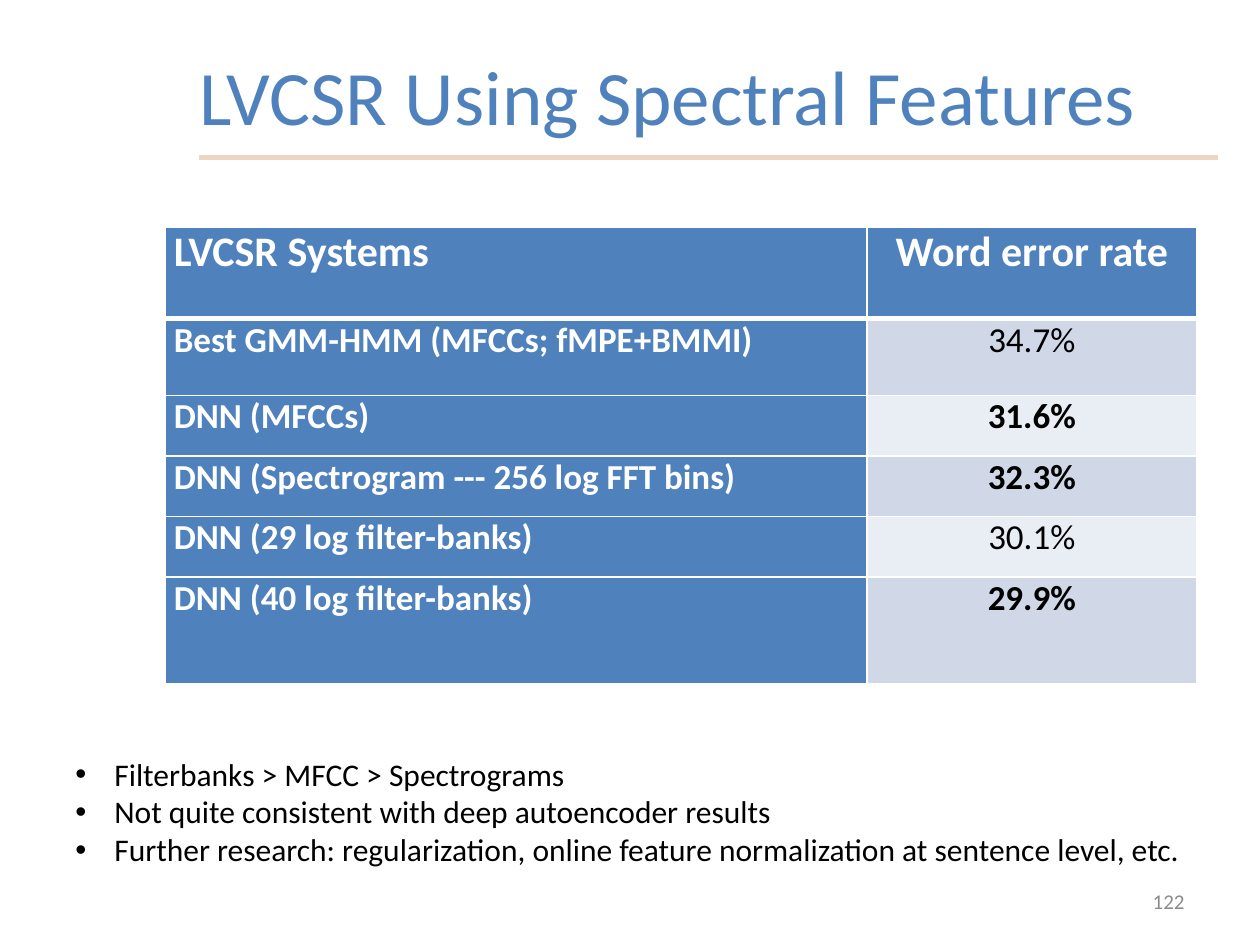
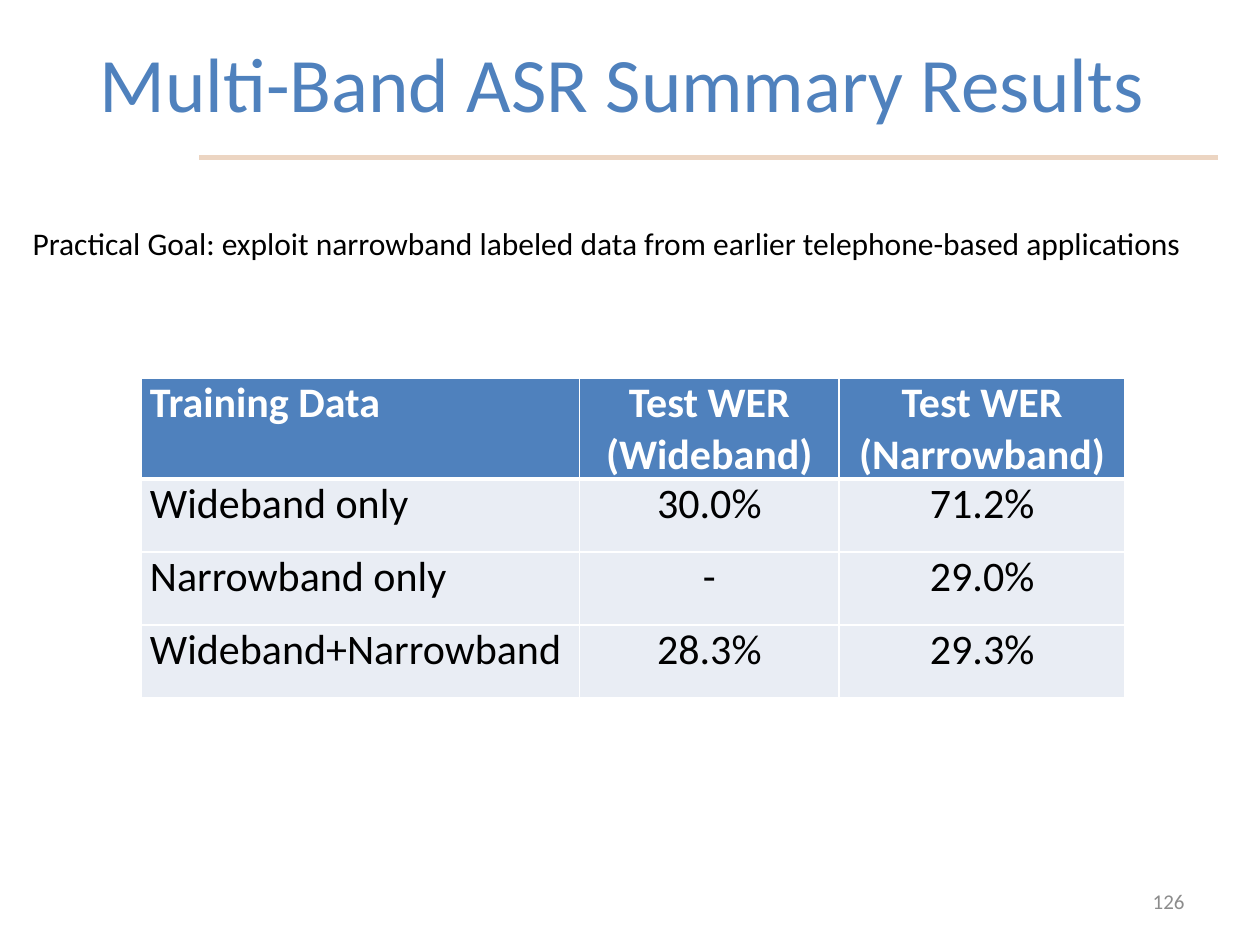
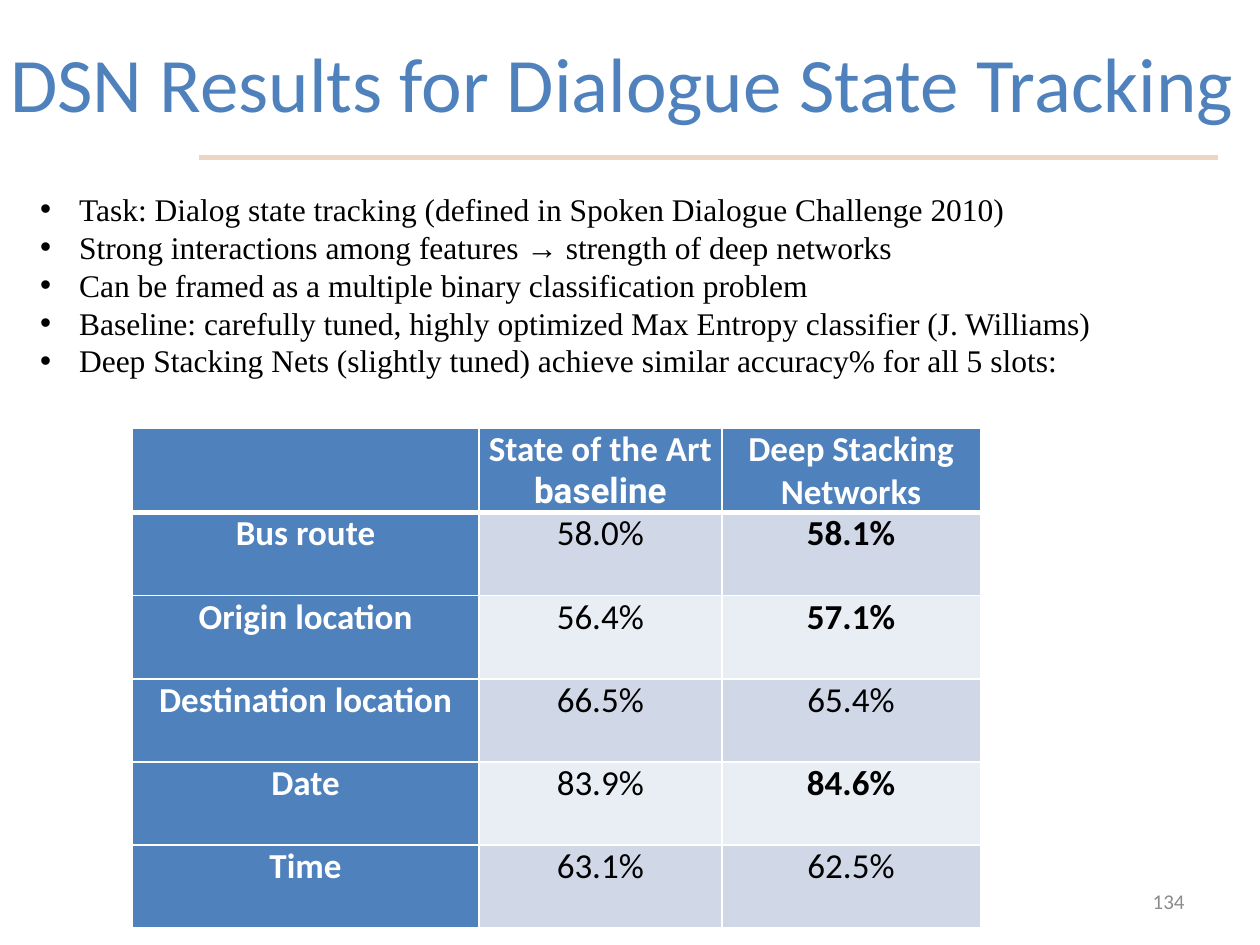
"""Three slides of speech and dialogue recognition results, each built around a table."""
from dataclasses import dataclass, replace

from lxml import etree
from pptx import Presentation
from pptx.dml.color import RGBColor
from pptx.enum.shapes import MSO_CONNECTOR
from pptx.enum.text import MSO_ANCHOR, PP_ALIGN
from pptx.oxml.ns import qn
from pptx.slide import Slide
from pptx.table import _Cell
from pptx.text.text import TextFrame
from pptx.util import Inches, Pt

LEFT, CENTER, RIGHT = PP_ALIGN.LEFT, PP_ALIGN.CENTER, PP_ALIGN.RIGHT
TOP, MIDDLE = MSO_ANCHOR.TOP, MSO_ANCHOR.MIDDLE
STRAIGHT = MSO_CONNECTOR.STRAIGHT

BLUE = RGBColor(0x4F, 0x81, 0xBD)
SAND = RGBColor(0xEC, 0xD5, 0xC2)
GREY = RGBColor(0x8C, 0x8C, 0x8C)
BLACK = RGBColor(0x00, 0x00, 0x00)
WHITE = RGBColor(0xFF, 0xFF, 0xFF)
DARK_BAND = RGBColor(0xD0, 0xD8, 0xE8)
LIGHT_BAND = RGBColor(0xE9, 0xED, 0xF4)

SLIDE_WIDTH, SLIDE_HEIGHT = Inches(10), Inches(7.5)
GRID_COLUMNS, GRID_ROWS = 100, 75
BULLET_INDENT = 3.1
CELL_INSET = 0.7


@dataclass(frozen=True)
class Area:
    """A place on the slide grid."""
    column: float
    row: float
    columns: float
    rows: float


@dataclass(frozen=True)
class Style:
    """The look of a group of paragraphs."""
    size: float
    color: RGBColor = BLACK
    bold: bool = False
    font: str = "Calibri"
    align: PP_ALIGN = LEFT
    bulleted: bool = False


@dataclass(frozen=True)
class Line:
    """One paragraph, with a font of its own if it needs one."""
    text: str
    font: str | None = None


@dataclass(frozen=True)
class Result:
    """A table row; the last value is bold when it is highlighted."""
    label: str
    values: tuple[str, ...]
    highlighted: bool = False


@dataclass(frozen=True)
class ResultTable:
    """A results table with its grid and its look."""
    column: float
    row: float
    widths: tuple[float, ...]
    heights: tuple[float, ...]
    header: tuple[tuple[Line, ...], ...]
    results: tuple[Result, ...]
    header_size: float
    body_size: float
    label_align: PP_ALIGN = LEFT
    blue_labels: bool = True
    bands: tuple[RGBColor, ...] = (DARK_BAND, LIGHT_BAND)


@dataclass(frozen=True)
class Page:
    """Everything that one slide shows."""
    title: str
    title_area: Area
    number: int
    remarks: tuple[str, ...]
    remarks_area: Area
    remarks_style: Style
    table: ResultTable


TITLE = Style(44, BLUE, align=CENTER)
NUMBER = Style(12, GREY, align=RIGHT)
REMARK = Style(18)
BULLETED_REMARK = replace(REMARK, bulleted=True)
NUMBER_AREA = Area(71.7, 69.5, 23.3, 4)
WIDE_TITLE_AREA = Area(-0.4, 0.2, 99.6, 12.5)

SPECTRAL_TABLE = ResultTable(
    13.1, 18, (55.7, 26.2), (7.3, 6.1, 4.8, 4.8, 4.8, 8.5),
    header=((Line("LVCSR Systems"),), (Line("Word error rate"),)),
    results=(
        Result("Best GMM-HMM (MFCCs; fMPE+BMMI)", ("34.7%",)),
        Result("DNN (MFCCs)", ("31.6%",), True),
        Result("DNN (Spectrogram --- 256 log FFT bins)", ("32.3%",), True),
        Result("DNN (29 log filter-banks)", ("30.1%",)),
        Result("DNN (40 log filter-banks)", ("29.9%",), True),
    ),
    header_size=24, body_size=20,
)

MULTI_BAND_TABLE = ResultTable(
    11.2, 30, (34.8, 20.6, 22.7), (7.9, 5.8, 5.8, 5.8),
    header=((Line("Training Data"),), (Line("Test WER (Wideband)"),),
            (Line("Test WER (Narrowband)"),)),
    results=(
        Result("Wideband only", ("30.0%", "71.2%")),
        Result("Narrowband only", ("-", "29.0%")),
        Result("Wideband+Narrowband", ("28.3%", "29.3%")),
    ),
    header_size=24, body_size=24, blue_labels=False, bands=(LIGHT_BAND,),
)

DIALOGUE_TABLE = ResultTable(
    10.5, 34, (27.5, 19.3, 20.5), (6.6,) * 6,
    header=((), (Line("State of the Art"), Line("baseline", "Roboto")),
            (Line("Deep Stacking"), Line("Networks"))),
    results=(
        Result("Bus route", ("58.0%", "58.1%"), True),
        Result("Origin location", ("56.4%", "57.1%"), True),
        Result("Destination location", ("66.5%", "65.4%")),
        Result("Date", ("83.9%", "84.6%"), True),
        Result("Time", ("63.1%", "62.5%")),
    ),
    header_size=20, body_size=20, label_align=CENTER,
)

PAGES = (
    Page(
        "LVCSR Using Spectral Features", Area(8, 1.3, 90, 12.5), 122,
        ("Filterbanks > MFCC > Spectrograms",
         "Not quite consistent with deep autoencoder results",
         "Further research: regularization, online feature normalization "
         "at sentence level, etc."),
        Area(5, 59.4, 93, 10.1), BULLETED_REMARK, SPECTRAL_TABLE,
    ),
    Page(
        "Multi-Band ASR Summary Results", WIDE_TITLE_AREA, 126,
        ("Practical Goal: exploit narrowband labeled data from earlier "
         "telephone-based applications",),
        Area(1.6, 17.3, 95.5, 4), REMARK, MULTI_BAND_TABLE,
    ),
    Page(
        "DSN Results for Dialogue State Tracking", WIDE_TITLE_AREA, 134,
        ("Task: Dialog state tracking (defined in Spoken Dialogue Challenge 2010)",
         "Strong interactions among features → strength of deep networks",
         "Can be framed as a multiple binary classification problem",
         "Baseline: carefully tuned, highly optimized Max Entropy classifier (J. Williams)",
         "Deep Stacking Nets (slightly tuned) achieve similar accuracy% for all 5 slots:"),
        Area(2.2, 14.6, 86.3, 16.2),
        replace(BULLETED_REMARK, font="Times New Roman"), DIALOGUE_TABLE,
    ),
)


def across(columns: float) -> int:
    """Return the length of a number of grid columns."""
    return round(SLIDE_WIDTH * columns / GRID_COLUMNS)


def down(rows: float) -> int:
    """Return the length of a number of grid rows."""
    return round(SLIDE_HEIGHT * rows / GRID_ROWS)


def write(frame: TextFrame, lines: tuple[Line, ...], style: Style) -> None:
    """Fill a text frame with one paragraph per line."""
    for index, line in enumerate(lines):
        paragraph = frame.add_paragraph() if index else frame.paragraphs[0]
        paragraph.alignment = style.align
        if style.bulleted:
            properties = paragraph._p.get_or_add_pPr()
            properties.set("marL", str(across(BULLET_INDENT)))
            properties.set("indent", str(-across(BULLET_INDENT)))
            etree.SubElement(properties, qn("a:buFont"), typeface="Arial")
            etree.SubElement(properties, qn("a:buChar"), char="•")
        run = paragraph.add_run()
        run.text = line.text
        run.font.size = Pt(style.size)
        run.font.name = line.font or style.font
        run.font.bold = style.bold
        run.font.color.rgb = style.color


def add_text(slide: Slide, area: Area, texts: tuple[str, ...], style: Style,
             anchor: MSO_ANCHOR = TOP) -> None:
    """Place a wrapped text box on the grid."""
    box = slide.shapes.add_textbox(across(area.column), down(area.row),
                                   across(area.columns), down(area.rows))
    box.text_frame.word_wrap = True
    box.text_frame.vertical_anchor = anchor
    write(box.text_frame, tuple(Line(text) for text in texts), style)


def add_title_rule(slide: Slide) -> None:
    """Draw the line below the title."""
    rule = slide.shapes.add_connector(STRAIGHT, across(15.8), down(12.5),
                                      across(96.7), down(12.5))
    rule.line.color.rgb = SAND
    rule.line.width = Pt(3)
    etree.SubElement(rule._element.spPr, qn("a:effectLst"))


def set_borders(cell: _Cell, top: float, bottom: float) -> None:
    """Give a cell white borders."""
    properties = cell._tc.get_or_add_tcPr()
    widths = {"lnL": 1, "lnR": 1, "lnT": top, "lnB": bottom}
    for position, (side, width) in enumerate(widths.items()):
        border = etree.Element(qn(f"a:{side}"), w=str(Pt(width)))
        fill = etree.SubElement(border, qn("a:solidFill"))
        etree.SubElement(fill, qn("a:srgbClr"), val=str(WHITE))
        properties.insert(position, border)


def fill_cell(cell: _Cell, lines: tuple[Line, ...], style: Style, fill: RGBColor,
              top: float = 1, bottom: float = 1) -> None:
    """Set the text, fill and borders of a cell."""
    cell.margin_left = cell.margin_right = across(CELL_INSET)
    cell.margin_top = cell.margin_bottom = 0
    cell.fill.solid()
    cell.fill.fore_color.rgb = fill
    set_borders(cell, top, bottom)
    write(cell.text_frame, lines, style)


def add_results(slide: Slide, spec: ResultTable) -> None:
    """Draw a results table."""
    table = slide.shapes.add_table(
        len(spec.heights), len(spec.widths), across(spec.column), down(spec.row),
        across(sum(spec.widths)), down(sum(spec.heights))).table
    for column, width in zip(table.columns, spec.widths):
        column.width = across(width)
    for row, height in zip(table.rows, spec.heights):
        row.height = down(height)

    heading = Style(spec.header_size, WHITE, bold=True, align=CENTER)
    for index, lines in enumerate(spec.header):
        style = heading if index else replace(heading, align=spec.label_align)
        fill_cell(table.cell(0, index), lines, style, BLUE, bottom=3)

    label_style = Style(spec.body_size, WHITE if spec.blue_labels else BLACK,
                        bold=spec.blue_labels, align=spec.label_align)
    for row_index, result in enumerate(spec.results, start=1):
        band = spec.bands[(row_index - 1) % len(spec.bands)]
        top = 3 if row_index == 1 else 1
        fill_cell(table.cell(row_index, 0), (Line(result.label),), label_style,
                  BLUE if spec.blue_labels else band, top)
        for index, value in enumerate(result.values, start=1):
            bold = result.highlighted and index == len(result.values)
            fill_cell(table.cell(row_index, index), (Line(value),),
                      Style(spec.body_size, bold=bold, align=CENTER), band, top)


def main() -> None:
    """Build and save the presentation."""
    deck = Presentation()
    deck.slide_width, deck.slide_height = SLIDE_WIDTH, SLIDE_HEIGHT
    for page in PAGES:
        slide = deck.slides.add_slide(deck.slide_layouts[6])
        add_title_rule(slide)
        add_text(slide, page.title_area, (page.title,), TITLE, MIDDLE)
        add_text(slide, NUMBER_AREA, (str(page.number),), NUMBER, MIDDLE)
        add_results(slide, page.table)
        add_text(slide, page.remarks_area, page.remarks, page.remarks_style)
    deck.save("out.pptx")


if __name__ == "__main__":
    main()
